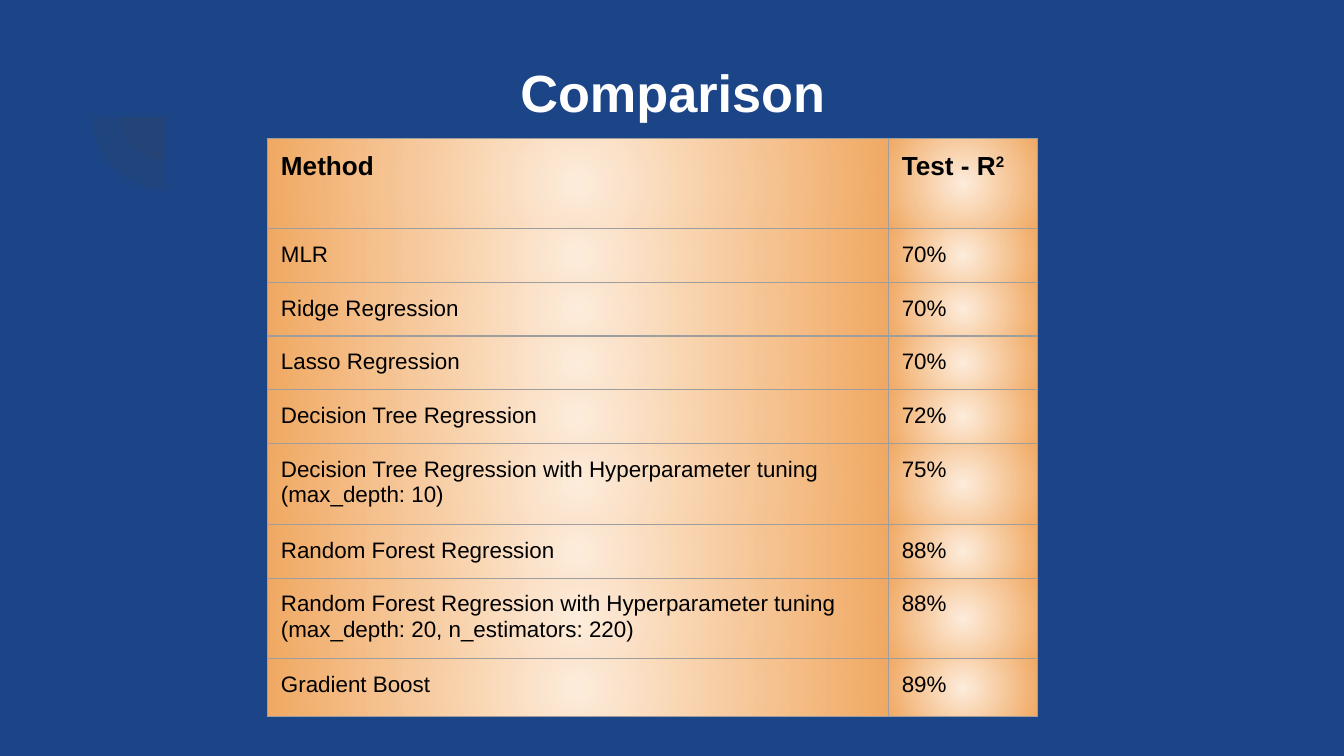
import dataclasses

import lxml.etree
import pptx
import pptx.dml.color
import pptx.enum.shapes
import pptx.enum.text
import pptx.oxml
import pptx.oxml.ns
import pptx.util

Inches = pptx.util.Inches


@dataclasses.dataclass(frozen=True)
class Theme:
    font: str = "Arial"
    background: str = "1C4587"
    ornament: str = "424242"
    title: str = "FFFFFF"
    text: str = "000000"
    border: str = "9E9E9E"
    cell_center: str = "FDECDB"
    cell_edge: str = "F0A963"
    title_size: int = 28
    header_size: int = 14
    body_size: int = 12


THEME = Theme()

RESULTS = [
    ("MLR", "70%"),
    ("Ridge Regression", "70%"),
    ("Lasso Regression", "70%"),
    ("Decision Tree Regression", "72%"),
    ("Decision Tree Regression with Hyperparameter tuning (max_depth: 10)", "75%"),
    ("Random Forest Regression", "88%"),
    ("Random Forest Regression with Hyperparameter tuning "
     "(max_depth: 20, n_estimators: 220)", "88%"),
    ("Gradient Boost", "89%"),
]
COLUMN_WIDTHS = [4.62, 1.11]
# Minimum heights: rows grow to fit their text
ROW_HEIGHTS = [0.67, 0.3, 0.35, 0.26, 0.13, 0.41, 0.2, 0.43, 0.43]


def rgb(color):
    return pptx.dml.color.RGBColor.from_string(color)


def add_span(para, text, size, color, bold=False, superscript=False):
    span = para.add_run()
    span.text = text
    span.font.name = THEME.font
    span.font.size = pptx.util.Pt(size)
    span.font.bold = bold
    span.font.color.rgb = rgb(color)
    if superscript:
        span.font._element.set("baseline", "30000")


def add_quarter_disc(page, center_x, center_y, diameter):
    """Add a translucent quarter disc around a center."""
    left, top = center_x - diameter / 2, center_y - diameter / 2
    disc = page.shapes.add_shape(
        pptx.enum.shapes.MSO_SHAPE.PIE,
        Inches(left), Inches(top), Inches(diameter), Inches(diameter))
    disc.adjustments[0] = 108
    disc.adjustments[1] = 162
    disc.rotation = 270
    disc.shadow.inherit = False
    disc.line.fill.background()
    disc.fill.solid()
    disc.fill.fore_color.rgb = rgb(THEME.ornament)
    color = disc._element.spPr.find(".//" + pptx.oxml.ns.qn("a:srgbClr"))
    lxml.etree.SubElement(color, pptx.oxml.ns.qn("a:alpha"), val="13000")


def add_title(page, text):
    box = page.shapes.add_textbox(Inches(1.16), Inches(0.34), Inches(7.69), Inches(1.09))
    frame = box.text_frame
    frame.word_wrap = True
    frame.vertical_anchor = pptx.enum.text.MSO_ANCHOR.TOP
    frame.margin_left = frame.margin_right = Inches(0.1)
    frame.margin_top = frame.margin_bottom = Inches(0.11)
    para = frame.paragraphs[0]
    para.alignment = pptx.enum.text.PP_ALIGN.CENTER
    add_span(para, text, THEME.title_size, THEME.title, bold=True)


def style_cell(cell):
    """Give a cell its margins, thin borders and radial gradient."""
    cell.margin_left = cell.margin_right = Inches(0.1)
    cell.margin_top = cell.margin_bottom = Inches(0.1)
    properties = cell._tc.get_or_add_tcPr()
    namespace = pptx.oxml.ns.nsdecls("a")
    for side in ("lnL", "lnR", "lnT", "lnB"):
        properties.append(pptx.oxml.parse_xml(
            f'<a:{side} {namespace} w="{pptx.util.Pt(0.75)}"><a:solidFill>'
            f'<a:srgbClr val="{THEME.border}"/></a:solidFill></a:{side}>'))
    properties.append(pptx.oxml.parse_xml(
        f'<a:gradFill {namespace}><a:gsLst>'
        f'<a:gs pos="0"><a:srgbClr val="{THEME.cell_center}"/></a:gs>'
        f'<a:gs pos="100000"><a:srgbClr val="{THEME.cell_edge}"/></a:gs></a:gsLst>'
        '<a:path path="circle"><a:fillToRect l="50000" t="50000" r="50000" b="50000"/>'
        '</a:path></a:gradFill>'))


def add_results_table(page):
    table = page.shapes.add_table(
        len(ROW_HEIGHTS), len(COLUMN_WIDTHS), Inches(1.99), Inches(1.03),
        Inches(sum(COLUMN_WIDTHS)), Inches(sum(ROW_HEIGHTS))).table
    table.first_row = table.horz_banding = False
    for column, width in zip(table.columns, COLUMN_WIDTHS):
        column.width = Inches(width)
    for row, height in zip(table.rows, ROW_HEIGHTS):
        row.height = Inches(height)
    for cell in table.iter_cells():
        style_cell(cell)

    # Header
    method, score = (table.cell(0, i).text_frame.paragraphs[0] for i in range(2))
    add_span(method, "Method", THEME.header_size, THEME.text, bold=True)
    add_span(score, "Test - R", THEME.header_size, THEME.text, bold=True)
    add_span(score, "2", THEME.header_size, THEME.text, bold=True, superscript=True)

    # Results
    for row_index, result in enumerate(RESULTS, start=1):
        for column_index, text in enumerate(result):
            para = table.cell(row_index, column_index).text_frame.paragraphs[0]
            add_span(para, text, THEME.body_size, THEME.text)


def main():
    # Widescreen page, 16:9
    deck = pptx.Presentation()
    deck.slide_width = Inches(10)
    deck.slide_height = deck.slide_width * 9 // 16
    page = deck.slides.add_slide(deck.slide_layouts[6])
    page.background.fill.solid()
    page.background.fill.fore_color.rgb = rgb(THEME.background)

    # Corner ornament: two concentric quarter discs
    for diameter in (0.65, 1.09):
        add_quarter_disc(page, 1.23, 0.87, diameter)

    add_title(page, "Comparison")
    add_results_table(page)
    deck.save("out.pptx")


if __name__ == "__main__":
    main()
